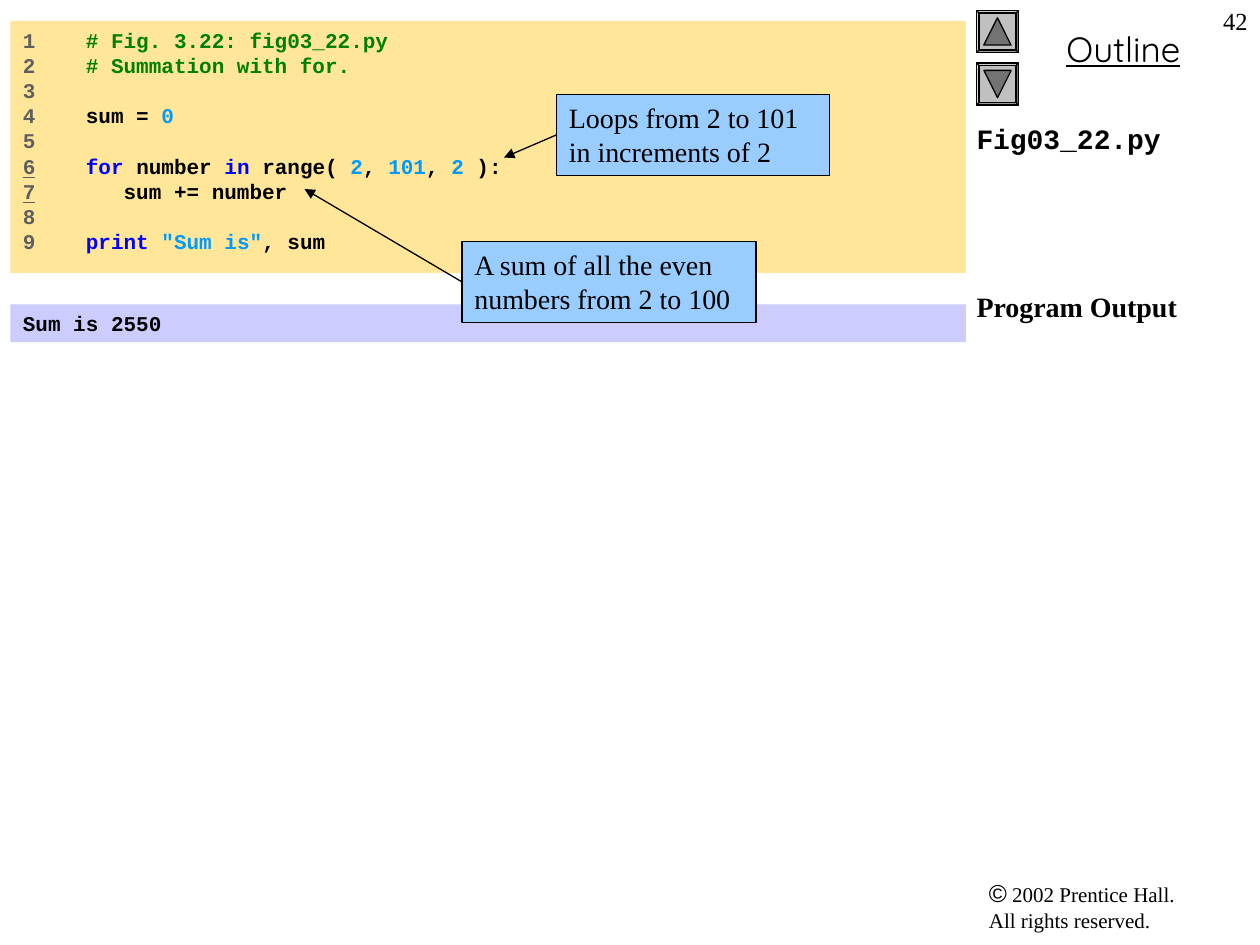
from lxml import etree
from pptx import Presentation
from pptx import util as u
from pptx.dml.color import RGBColor
from pptx.enum import shapes, text
from pptx.oxml.ns import qn

THEME = {
    "serif": "Times New Roman", "mono": "Courier New", "sans": "Arial", "heading": "Quicksand",
    "code_size": 12, "small": 12, "number": 14, "body": 16, "outline": 20,
    "ink": "000000", "line_no": "5F5F5F", "comment": "008000", "keyword": "0000FF",
    "literal": "0099FF", "code_fill": "FFE699", "output_fill": "CCCCFF",
    "callout_fill": "99CCFF", "button": "C0C0C0", "arrow": "737373",
}
COLUMNS, ROWS = 120, 90  # a grid of twelfths of an inch
CELL = u.Inches(10) // COLUMNS

# Each code line: (line number underlined?, [(text, colour name), ...])
CODE = [
    (False, [("# Fig. 3.22: fig03_22.py", "comment")]),
    (False, [("# Summation with for.", "comment")]),
    (False, []),
    (False, [("sum =", "ink"), (" 0", "literal")]),
    (False, []),
    (True, [("for", "keyword"), (" number ", "ink"), ("in", "keyword"), (" range(", "ink"),
            (" 2", "literal"), (",", "ink"), (" 101", "literal"), (",", "ink"),
            (" 2", "literal"), (" ):", "ink")]),
    (True, [("   sum += number", "ink")]),
    (False, []),
    (False, [("print ", "keyword"), ('"Sum is"', "literal"), (", sum", "ink")]),
]
# Callouts: text, box in grid cells, arrow tip in grid cells
CALLOUTS = [
    ("Loops from 2 to 101 in increments of 2", (53, 9, 26, 7.7), (48, 15)),
    ("A sum of all the even numbers from 2 to 100", (44, 23, 28, 7.7), (29, 18)),
]
# Buttons: top row, rotation of the arrow
BUTTONS = [(1, 0), (6, 180)]
SIDE_COLUMN = 93


def cells(*counts):
    return [int(count * CELL) for count in counts]


def color(name):
    return RGBColor.from_string(THEME[name])


def write(para, content, font="serif", size="body", ink="ink", bold=False, underline=False):
    """Add one run to a paragraph."""
    span = para.add_run()
    span.text = content
    span.font.name = THEME[font]
    span.font.size = u.Pt(THEME[size])
    span.font.color.rgb = color(ink)
    span.font.bold = bold
    span.font.underline = underline


def add_para(box, size=None, align="LEFT", before=0):
    """Return the next paragraph; a size name fixes the pitch at 1.2 times that size."""
    frame = box.text_frame
    para = frame.paragraphs[0] if not frame.paragraphs[0].runs else frame.add_paragraph()
    para.alignment = getattr(text.PP_ALIGN, align)
    para.space_before = u.Pt(before)
    if size:
        para.line_spacing = u.Pt(THEME[size] * 1.2)
    return para


def prepare(box):
    box.text_frame.word_wrap = True
    box.text_frame.vertical_anchor = text.MSO_ANCHOR.TOP
    return box


def add_text_box(page, place):
    return prepare(page.shapes.add_textbox(*cells(*place)))


def add_panel(page, place, fill, outlined=False, kind=shapes.MSO_SHAPE.RECTANGLE):
    panel = page.shapes.add_shape(kind, *cells(*place))
    panel.shadow.inherit = False
    panel.fill.solid()
    panel.fill.fore_color.rgb = color(fill)
    if outlined:
        panel.line.color.rgb = color("ink")
        panel.line.width = u.Pt(0.75)
    else:
        panel.line.fill.background()
    return prepare(panel)


def add_button(page, top, rotation):
    bevel = add_panel(page, (SIDE_COLUMN, top, 4, 4), "button", True, shapes.MSO_SHAPE.BEVEL)
    bevel.adjustments[0] = 0.06
    arrow = add_panel(page, (SIDE_COLUMN + 0.7, top + 0.7, 2.6, 2.6), "arrow", True,
                      shapes.MSO_SHAPE.ISOSCELES_TRIANGLE)
    arrow.rotation = rotation


def add_callout(page, content, place, tip):
    box = add_panel(page, place, "callout_fill", outlined=True)
    write(add_para(box, "body"), content)
    arrow = page.shapes.add_connector(shapes.MSO_CONNECTOR.STRAIGHT, 0, 0, *cells(*tip))
    arrow.begin_connect(box, 1)
    arrow.line.color.rgb = color("ink")
    arrow.line.width = u.Pt(0.75)
    etree.SubElement(arrow.line._get_or_add_ln(), qn("a:tailEnd"), type="triangle")
    etree.SubElement(arrow._element.spPr, qn("a:effectLst"))


def add_code(page):
    box = add_panel(page, (1, 2, 91, 24), "code_fill")
    style = {"font": "mono", "size": "code_size", "bold": True}
    for number, (underlined, tokens) in enumerate(CODE, 1):
        para = add_para(box, "code_size")
        write(para, str(number), ink="line_no", underline=underlined, **style)
        if tokens:
            write(para, "    ", ink="line_no", **style)
        for content, ink in tokens:
            write(para, content, ink=ink, **style)
    output = add_panel(page, (1, 29, 91, 3.6), "output_fill")
    write(add_para(output, "code_size"), "Sum is 2550", **style)


def add_side_column(page):
    rights = add_para(add_text_box(page, (SIDE_COLUMN, 83, 26, 6.5)))
    write(rights, "©", font="sans", size="number")
    write(rights, " 2002 Prentice Hall.", size="small")
    rights.add_line_break()
    write(rights, "All rights reserved.", size="small")

    outline = add_text_box(page, (94, 2, 26, 5.3))
    write(add_para(outline, align="CENTER"), "Outline", font="heading", size="outline",
          underline=True)
    for top, rotation in BUTTONS:
        add_button(page, top, rotation)

    title = add_text_box(page, (SIDE_COLUMN, 11, 27, 72))
    title.text_frame.margin_left = 0
    write(add_para(title, "body"), "Fig03_22.py", font="mono", bold=True)
    four_lines = 4 * 1.2 * THEME["body"]
    write(add_para(title, "body", before=four_lines), "Program Output", bold=True)

    number = add_text_box(page, (114, 0, 6, 6))
    write(add_para(number, align="RIGHT"), "42", size="number")


def main():
    deck = Presentation()
    deck.slide_width, deck.slide_height = cells(COLUMNS, ROWS)
    page = deck.slides.add_slide(deck.slide_layouts[6])
    add_side_column(page)
    add_code(page)
    for callout in CALLOUTS:
        add_callout(page, *callout)
    deck.save("out.pptx")


if __name__ == "__main__":
    main()
